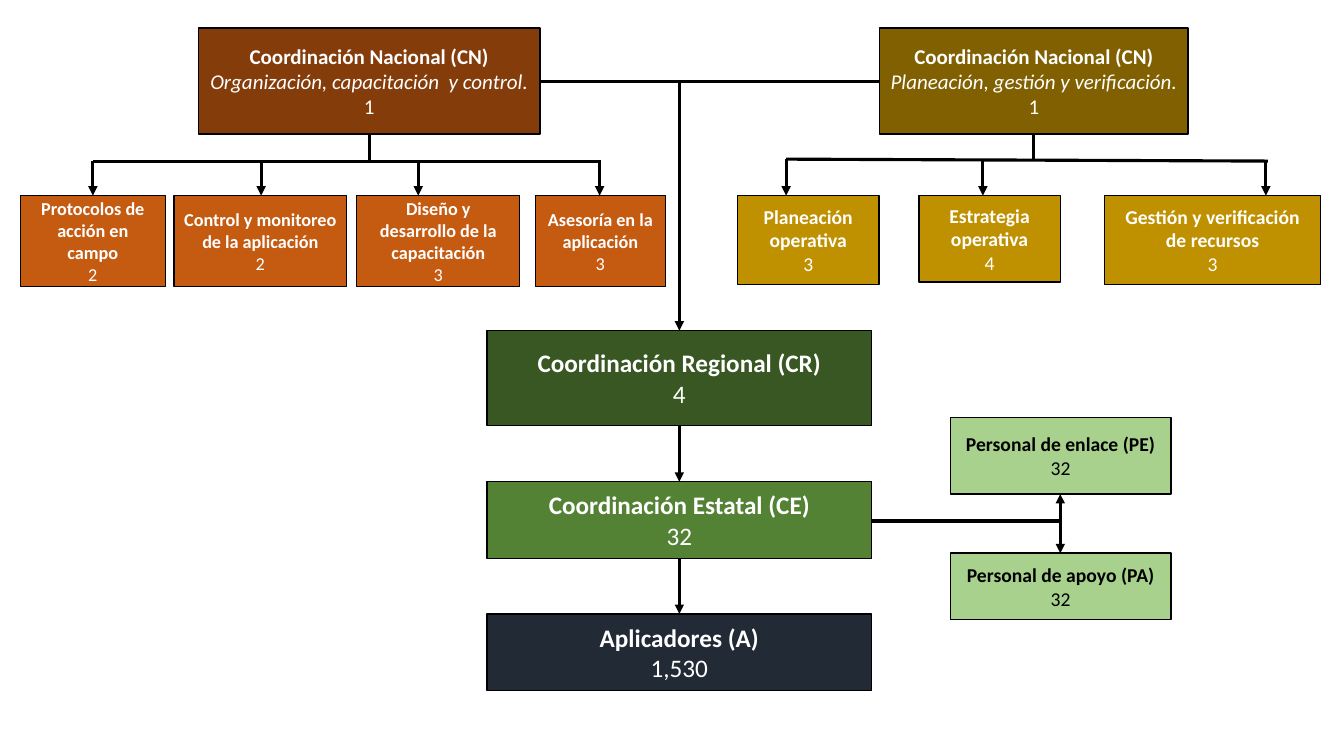
from lxml import etree
from pptx import Presentation
from pptx import util as u
from pptx.dml.color import RGBColor
from pptx.enum import shapes, text
from pptx.oxml.ns import qn

COLORS = {
    "black": "000000",
    "white": "FFFFFF",
    "brown": "843C0B",
    "orange": "C55A11",
    "olive": "806000",
    "gold": "BF9000",
    "dark_green": "385723",
    "green": "548235",
    "light_green": "A9D18E",
    "navy": "222A35",
}
FONT = "Calibri"


def color(name):
    return RGBColor.from_string(COLORS[name])


def add_box(slide, place, fill, size, title, count, detail=None, ink="white"):
    """Filled box with a bold title, an optional italic detail and a head count."""
    left, top, width, height = map(u.Cm, place)
    shape = slide.shapes.add_shape(shapes.MSO_SHAPE.RECTANGLE, left, top, width, height)
    shape.shadow.inherit = False
    shape.fill.solid()
    shape.fill.fore_color.rgb = color(fill)
    shape.line.color.rgb = color("black")
    shape.line.width = u.Pt(1)

    frame = shape.text_frame
    frame.word_wrap = True
    frame.vertical_anchor = text.MSO_ANCHOR.MIDDLE
    lines = [title, detail, count] if detail else [title, count]
    frame.text = "\n".join(lines)
    for line, paragraph in zip(lines, frame.paragraphs):
        paragraph.alignment = text.PP_ALIGN.CENTER
        for run in paragraph.runs:
            run.font.name = FONT
            run.font.size = u.Pt(size)
            run.font.color.rgb = color(ink)
            run.font.bold = line == title
            run.font.italic = line == detail


def add_line(slide, start, end, arrow=False):
    """Straight black connector, with an arrowhead at its end if asked."""
    connector = slide.shapes.add_connector(
        shapes.MSO_CONNECTOR.STRAIGHT, *map(u.Cm, (*start, *end)))
    connector.line.color.rgb = color("black")
    connector.line.width = u.Pt(2.25)
    if arrow:
        etree.SubElement(connector.line._get_or_add_ln(), qn("a:tailEnd"), type="triangle")
    etree.SubElement(connector._element.spPr, qn("a:effectLst"))


def add_national_level(slide):
    add_box(slide, (5, 0.71, 8.61, 2.67), "brown", 15, "Coordinación Nacional (CN)", "1",
            "Organización, capacitación  y control.")
    add_box(slide, (22.17, 0.71, 7.77, 2.67), "olive", 15, "Coordinación Nacional (CN)", "1",
            "Planeación, gestión y verificación.")

    # Areas under each national coordination
    control_areas = [
        (0.51, 3.66, "Protocolos de acción en campo", "2"),
        (4.39, 4.34, "Control y monitoreo de la aplicación", "2"),
        (8.99, 4.11, "Diseño y desarrollo de la capacitación", "3"),
        (13.49, 3.28, "Asesoría en la aplicación", "3"),
    ]
    for left, width, title, count in control_areas:
        add_box(slide, (left, 4.93, width, 2.29), "orange", 13, title, count)
    planning_areas = [
        (18.59, 3.56, 2.24, "Planeación operativa", "3"),
        (23.16, 3.56, 2.18, "Estrategia operativa", "4"),
        (27.84, 5.44, 2.24, "Gestión y verificación de recursos", "3"),
    ]
    for left, width, height, title, count in planning_areas:
        add_box(slide, (left, 4.93, width, height), "gold", 14, title, count)


def add_field_level(slide):
    chain = [
        (8.33, 2.39, "dark_green", "Coordinación Regional (CR)", "4"),
        (12.14, 1.93, "green", "Coordinación Estatal (CE)", "32"),
        (15.47, 1.93, "navy", "Aplicadores (A)", "1,530"),
    ]
    for top, height, fill, title, count in chain:
        add_box(slide, (12.27, top, 9.7, height), fill, 18, title, count)

    # Support staff beside the state coordination
    staff = [(10.52, 1.93, "Personal de enlace (PE)"), (13.94, 1.68, "Personal de apoyo (PA)")]
    for top, height, title in staff:
        add_box(slide, (23.95, top, 5.56, height), "light_green", 14, title, "32", ink="black")


def add_links(slide):
    # Bars and the stubs that feed them
    bars = [
        ((13.61, 2.06), (22.17, 2.06)),
        ((2.34, 4.06), (15.14, 4.06)),
        ((19.81, 4.01), (31.95, 4.06)),
        ((21.97, 13.13), (26.72, 13.13)),
        ((9.32, 3.38), (9.32, 4.06)),
        ((26.04, 3.38), (26.04, 4.06)),
    ]
    for start, end in bars:
        add_line(slide, start, end)

    # Arrows down to the areas
    for x, top in [(2.34, 4.06), (6.58, 4.06), (10.54, 4.06), (15.11, 4.06),
                   (19.81, 4.01), (24.77, 4.06), (31.9, 4.06)]:
        add_line(slide, (x, top), (x, 4.93), arrow=True)

    # Arrows along the main chain
    for top, bottom in [(2.06, 8.33), (10.72, 12.14), (14.07, 15.47)]:
        add_line(slide, (17.12, top), (17.12, bottom), arrow=True)

    # Arrows to the support staff
    for y in (12.45, 13.94):
        add_line(slide, (26.72, 13.13), (26.72, y), arrow=True)


def main():
    presentation = Presentation()
    presentation.slide_width = u.Cm(33.87)
    presentation.slide_height = u.Cm(19.05)
    slide = presentation.slides.add_slide(presentation.slide_layouts[6])
    add_national_level(slide)
    add_field_level(slide)
    add_links(slide)
    presentation.save("out.pptx")


if __name__ == "__main__":
    main()
